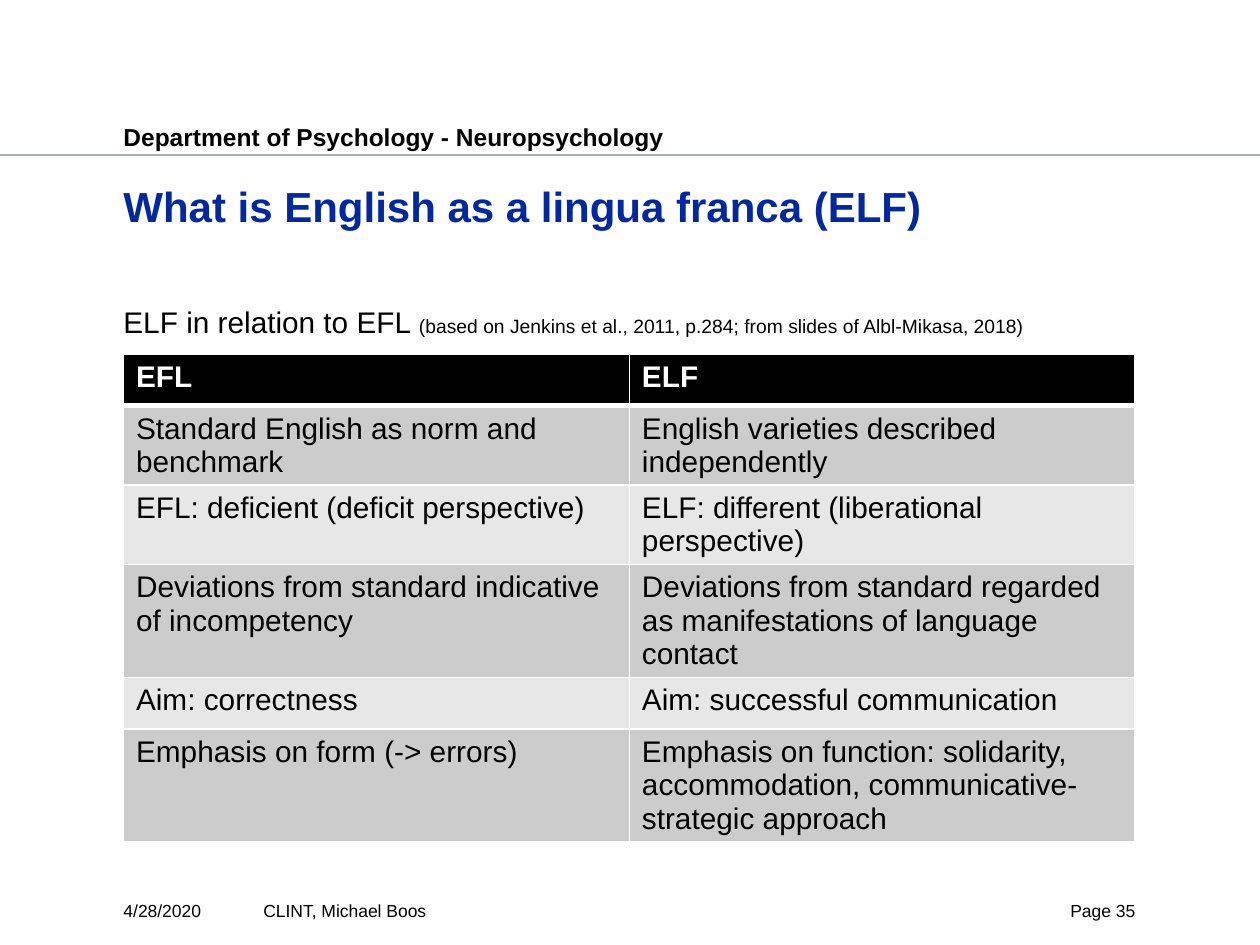
from dataclasses import dataclass

from pptx import Presentation
from pptx import util as u
from pptx.dml.color import RGBColor
from pptx.enum import shapes, text
from pptx.oxml import ns, xmlchemy


@dataclass(frozen=True)
class Theme:
    """Colours, type sizes and rule widths of the slide."""
    font: str = "Arial"
    ink: str = "000000"
    paper: str = "FFFFFF"
    accent: str = "0028A5"
    rule: str = "A3ADB7"
    bands: tuple = ("CCCCCC", "E7E7E7")
    title: int = 24
    body: int = 17
    header: int = 14
    source: int = 11
    footer: int = 10
    border: float = 1
    header_border: float = 3


THEME = Theme()
WIDTH, HEIGHT = 10, 7.5
LEFT, CONTENT = 0.98, 8.03
ROW_MINIMUM, CELL_PADDING, LINE_HEIGHT = 0.41, 0.1, 0.265

COMPARISON = [
    ("EFL", "ELF", 1),
    ("Standard English as norm and benchmark",
     "English varieties described independently", 2),
    ("EFL: deficient (deficit perspective)",
     "ELF: different (liberational perspective)", 2),
    ("Deviations from standard indicative of incompetency",
     "Deviations from standard regarded as manifestations of language contact", 3),
    ("Aim: correctness", "Aim: successful communication", 1),
    ("Emphasis on form (-> errors)",
     "Emphasis on function: solidarity, accommodation, communicative-strategic approach", 3),
]


def inches(box):
    """Convert a box in inches to lengths."""
    return [u.Inches(value) for value in box]


def style(font, size, color=THEME.ink, bold=False):
    """Apply the theme font with the given size, colour and weight."""
    font.name, font.size, font.bold = THEME.font, u.Pt(size), bold
    font.color.rgb = RGBColor.from_string(color)


def prepare_frame(frame, inset=0):
    """Set a wrapping, top-anchored frame with only a top inset."""
    frame.word_wrap = True
    frame.auto_size = text.MSO_AUTO_SIZE.NONE
    frame.vertical_anchor = text.MSO_ANCHOR.TOP
    frame.margin_left = frame.margin_right = frame.margin_bottom = 0
    frame.margin_top = u.Inches(inset)


def add_label(slide, box, wording, size, bold=False, inset=0, align=text.PP_ALIGN.LEFT):
    """Add a one-paragraph text box and return its paragraph."""
    frame = slide.shapes.add_textbox(*inches(box)).text_frame
    prepare_frame(frame, inset)
    paragraph = frame.paragraphs[0]
    paragraph.text, paragraph.alignment = wording, align
    style(paragraph.font, size, bold=bold)
    return paragraph


def add_header(slide, box):
    """Add the department name above a full-width rule."""
    left, top, width, height = box
    y = u.Inches(top + height)
    rule = slide.shapes.add_connector(
        shapes.MSO_CONNECTOR.STRAIGHT, 0, y, u.Inches(WIDTH), y)
    rule.line.color.rgb = RGBColor.from_string(THEME.rule)
    rule.line.width = u.Pt(1.25)
    rule._element.spPr.append(xmlchemy.OxmlElement("a:effectLst"))
    add_label(slide, (left, top, width, 0.25), "Department of Psychology - Neuropsychology",
              THEME.header, bold=True, inset=0.04)


def place_title(slide, box, wording):
    """Place and format the title placeholder."""
    title = slide.shapes.title
    title.left, title.top, title.width, title.height = inches(box)
    prepare_frame(title.text_frame, inset=0.04)
    paragraph = title.text_frame.paragraphs[0]
    paragraph.text, paragraph.alignment = wording, text.PP_ALIGN.LEFT
    style(paragraph.font, THEME.title, THEME.accent, bold=True)


def add_caption(slide, box):
    """Add the table caption with its smaller source note."""
    paragraph = add_label(slide, box, "ELF in relation to EFL ", THEME.body)
    run = paragraph.add_run()
    run.text = "(based on Jenkins et al., 2011, p.284; from slides of Albl-Mikasa, 2018)"
    run.font.size = u.Pt(THEME.source)


def set_borders(cell, row):
    """Draw white cell borders, heavier beneath the heading row."""
    heavy = {(0, "B"), (1, "T")}
    properties = cell._tc.get_or_add_tcPr()
    for side in "LRTB":
        width = THEME.header_border if (row, side) in heavy else THEME.border
        line = xmlchemy.OxmlElement(f"a:ln{side}")
        line.set("w", str(u.Pt(width)))
        fill = xmlchemy.OxmlElement("a:solidFill")
        color = xmlchemy.OxmlElement("a:srgbClr")
        color.set("val", THEME.paper)
        fill.append(color)
        line.append(fill)
        properties.append(line)


def add_comparison(slide, box):
    """Add the banded two-column comparison table."""
    heights = [max(ROW_MINIMUM, CELL_PADDING + LINE_HEIGHT * row[-1]) for row in COMPARISON]
    left, top, width = box
    table = slide.shapes.add_table(
        len(COMPARISON), 2, *inches((left, top, width, sum(heights)))).table
    for index, (*wordings, _) in enumerate(COMPARISON):
        heading = index == 0
        table.rows[index].height = u.Inches(heights[index])
        background = THEME.ink if heading else THEME.bands[(index - 1) % 2]
        for column, wording in enumerate(wordings):
            cell = table.cell(index, column)
            set_borders(cell, index)
            cell.fill.solid()
            cell.fill.fore_color.rgb = RGBColor.from_string(background)
            cell.text = wording
            style(cell.text_frame.paragraphs[0].font, THEME.body,
                  THEME.paper if heading else THEME.ink, bold=heading)


def add_footer(slide, box):
    """Add date, event and page number along the footer row."""
    left, top, width, height = box
    parts = [
        (0, 1.02, "4/28/2020", text.PP_ALIGN.LEFT),
        (1.11, 5.75, "CLINT, Michael Boos", text.PP_ALIGN.LEFT),
        (width - 0.87, 0.87, "Page 35", text.PP_ALIGN.RIGHT),
    ]
    for offset, part_width, wording, align in parts:
        add_label(slide, (left + offset, top, part_width, height), wording,
                  THEME.footer, align=align)


def main():
    """Build and save the slide."""
    presentation = Presentation()
    presentation.slide_width, presentation.slide_height = inches((WIDTH, HEIGHT))
    slide = presentation.slides.add_slide(presentation.slide_layouts.get_by_name("Title Only"))
    add_header(slide, (LEFT, 0.93, CONTENT, 0.3))
    place_title(slide, (LEFT, 1.39, CONTENT, 0.55), "What is English as a lingua franca (ELF)")
    add_footer(slide, (LEFT, 7.14, CONTENT, 0.24))
    add_caption(slide, (LEFT, 2.41, CONTENT, 0.39))
    add_comparison(slide, (LEFT, 2.81, CONTENT))
    presentation.save("out.pptx")


if __name__ == "__main__":
    main()
